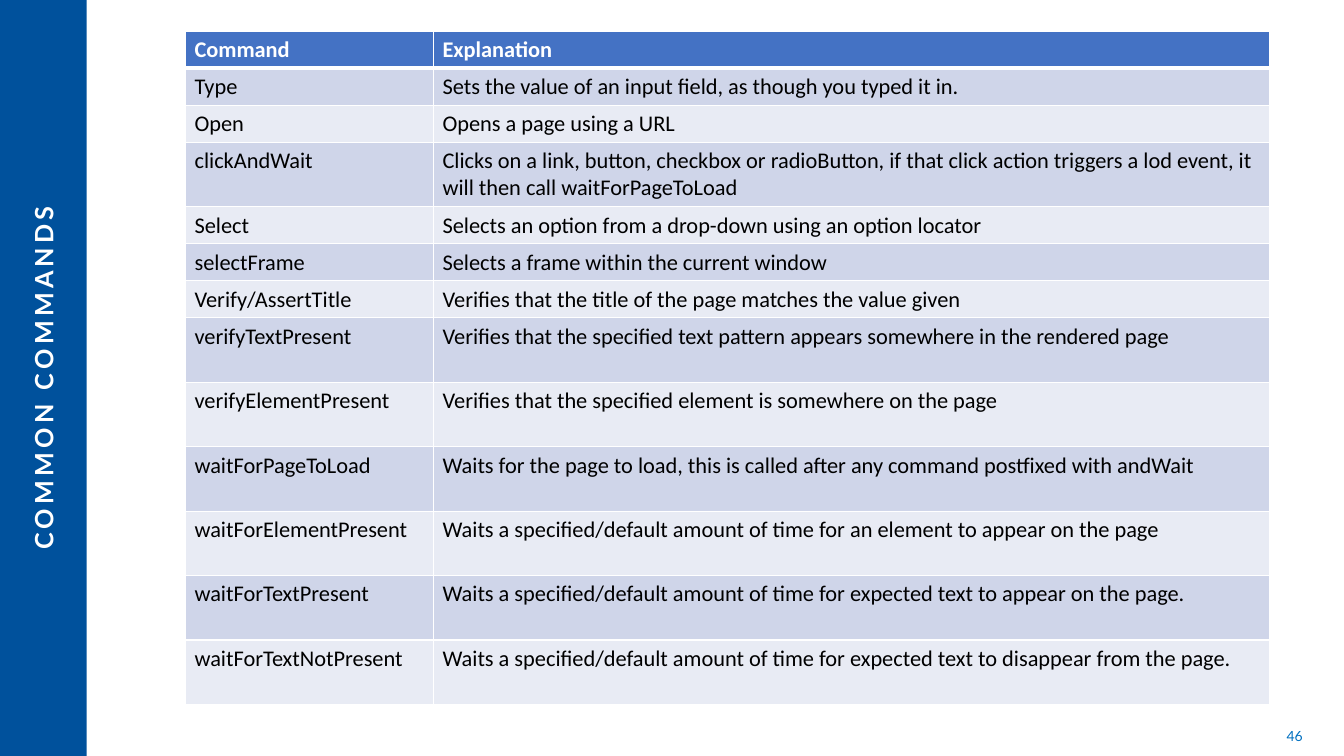
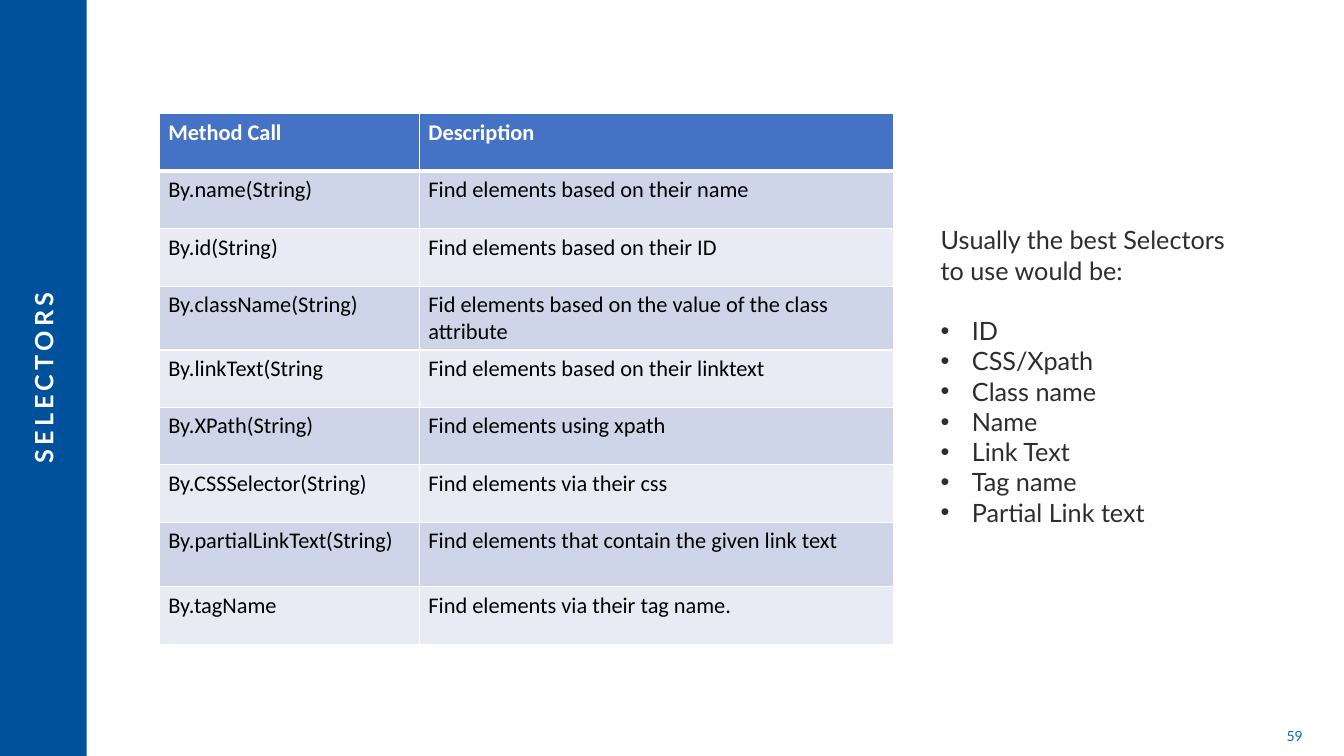
"""Build two reference slides with a side title band, a table and a selector list."""
from dataclasses import dataclass

from lxml import etree
from pptx import Presentation
from pptx.dml.color import RGBColor
from pptx.enum.shapes import MSO_SHAPE
from pptx.enum.text import MSO_ANCHOR, MSO_AUTO_SIZE, PP_ALIGN
from pptx.oxml.ns import qn
from pptx.slide import Slide
from pptx.table import _Cell
from pptx.text.text import _Paragraph
from pptx.util import Emu, Pt

RECTANGLE = MSO_SHAPE.RECTANGLE
MIDDLE = MSO_ANCHOR.MIDDLE
TOP = MSO_ANCHOR.TOP
NO_AUTOFIT = MSO_AUTO_SIZE.NONE
LEFT, CENTER, RIGHT = PP_ALIGN.LEFT, PP_ALIGN.CENTER, PP_ALIGN.RIGHT

EMU_PER_PX = 9144
SLIDE_WIDTH, SLIDE_HEIGHT = 1333, 750
TITLE_AND_BODY_LAYOUT, TITLE_LAYOUT = 1, 5
TEXT_FONT, TABLE_FONT = "Lato", "Calibri"
THIN, THICK = 1, 3
COLORS = {
    "band": "00519C",
    "number": "0070C0",
    "header": "4472C4",
    "odd": "CFD5E9",
    "even": "E8EBF4",
    "white": "FFFFFF",
    "black": "000000",
    "body": "2E2D2C",
}


@dataclass(frozen=True)
class Box:
    left: int
    top: int
    width: int
    height: int


@dataclass(frozen=True)
class TableRow:
    name: str
    description: str
    height: int


@dataclass(frozen=True)
class TableSpec:
    left: int
    top: int
    columns: tuple[int, int]
    rows: tuple[TableRow, ...]


BAND = Box(0, 0, 86, 752)
TITLE = Box(-341, 359, 768, 32)
PAGE_NUMBER = Box(991, 710, 311, 40)
SELECTOR_LIST = Box(923, 218, 320, 313)
LIST_INDENT = 31

SHORT, MEDIUM, TALL = 36, 57, 64
COMMANDS = TableSpec(184, 31, (246, 829), (
    TableRow("Command", "Explanation", SHORT),
    TableRow("Type", "Sets the value of an input field, as though you typed it in.", SHORT),
    TableRow("Open", "Opens a page using a URL", SHORT),
    TableRow("clickAndWait", "Clicks on a link, button, checkbox or radioButton, if that click action "
             "triggers a lod event, it will then call waitForPageToLoad", TALL),
    TableRow("Select", "Selects an option from a drop-down using an option locator", SHORT),
    TableRow("selectFrame", "Selects a frame within the current window", SHORT),
    TableRow("Verify/AssertTitle", "Verifies that the title of the page matches the value given", SHORT),
    TableRow("verifyTextPresent",
             "Verifies that the specified text pattern appears somewhere in the rendered page", TALL),
    TableRow("verifyElementPresent", "Verifies that the specified element is somewhere on the page", TALL),
    TableRow("waitForPageToLoad",
             "Waits for the page to load, this is called after any command postfixed with andWait", TALL),
    TableRow("waitForElementPresent",
             "Waits a specified/default amount of time for an element to appear on the page", TALL),
    TableRow("waitForTextPresent",
             "Waits a specified/default amount of time for expected text to appear on the page.", TALL),
    TableRow("waitForTextNotPresent",
             "Waits a specified/default amount of time for expected text to disappear from the page.", TALL),
))
SELECTORS = TableSpec(158, 113, (258, 470), (
    TableRow("Method Call", "Description", MEDIUM),
    TableRow("By.name(String)", "Find elements based on their name", MEDIUM),
    TableRow("By.id(String)", "Find elements based on their ID", MEDIUM),
    TableRow("By.className(String)", "Fid elements based on the value of the class attribute", MEDIUM),
    TableRow("By.linkText(String", "Find elements based on their linktext", MEDIUM),
    TableRow("By.XPath(String)", "Find elements using xpath", MEDIUM),
    TableRow("By.CSSSelector(String)", "Find elements via their css", MEDIUM),
    TableRow("By.partialLinkText(String)", "Find elements that contain the given link text", TALL),
    TableRow("By.tagName", "Find elements via their tag name.", MEDIUM),
))
SELECTOR_INTRO = "Usually the best Selectors to use would be:"
BEST_SELECTORS = ("ID", "CSS/Xpath", "Class name", "Name", "Link Text", "Tag name", "Partial Link text")


def px(length: int) -> Emu:
    """Turn a length in px into EMU."""
    return Emu(length * EMU_PER_PX)


def place(shape, box: Box) -> None:
    """Move and size a shape."""
    shape.left, shape.top = px(box.left), px(box.top)
    shape.width, shape.height = px(box.width), px(box.height)


def write(paragraph: _Paragraph, text: str, *, size: int, color: str, font: str = TEXT_FONT,
          bold: bool = False, align: PP_ALIGN = LEFT, spacing: int = 0) -> None:
    """Add one formatted run to a paragraph."""
    paragraph.alignment = align
    run = paragraph.add_run()
    run.text = text
    run.font.size, run.font.name, run.font.bold = Pt(size), font, bold
    run.font.color.rgb = RGBColor.from_string(COLORS[color])
    if spacing:
        run.font._element.set("spc", str(spacing * 100))


def set_bullet(paragraph: _Paragraph, indent: int) -> None:
    """Give a paragraph a hanging bullet, or none when the indent is zero."""
    properties = paragraph._p.get_or_add_pPr()
    properties.set("marL", str(px(indent)))
    properties.set("indent", str(-px(indent)))
    if indent:
        etree.SubElement(properties, qn("a:buFont"), typeface="Arial")
        etree.SubElement(properties, qn("a:buChar"), char="•")
    else:
        etree.SubElement(properties, qn("a:buNone"))


def set_borders(cell: _Cell, top: int, bottom: int) -> None:
    """Draw white borders around a cell."""
    properties = cell._tc.get_or_add_tcPr()
    widths = {"a:lnL": THIN, "a:lnR": THIN, "a:lnT": top, "a:lnB": bottom}
    for position, (tag, width) in enumerate(widths.items()):
        line = etree.Element(qn(tag), w=str(Pt(width)))
        fill = etree.SubElement(line, qn("a:solidFill"))
        etree.SubElement(fill, qn("a:srgbClr"), val=COLORS["white"])
        properties.insert(position, line)


def add_table(slide: Slide, spec: TableSpec) -> None:
    """Add a two-column table with a header and banded rows."""
    heights = [row.height for row in spec.rows]
    table = slide.shapes.add_table(len(heights), len(spec.columns), px(spec.left), px(spec.top),
                                   px(sum(spec.columns)), px(sum(heights))).table
    table.horz_banding = False
    for column, width in zip(table.columns, spec.columns):
        column.width = px(width)
    for index, row in enumerate(spec.rows):
        table.rows[index].height = px(row.height)
        is_header = index == 0
        fill = "header" if is_header else ("even", "odd")[index % 2]
        for cell, text in zip(table.rows[index].cells, (row.name, row.description)):
            cell.margin_left = cell.margin_right = px(9)
            cell.margin_top = cell.margin_bottom = px(5)
            cell.fill.solid()
            cell.fill.fore_color.rgb = RGBColor.from_string(COLORS[fill])
            set_borders(cell, THICK if index == 1 else THIN, THICK if is_header else THIN)
            write(cell.text_frame.paragraphs[0], text, size=16, font=TABLE_FONT,
                  color="white" if is_header else "black", bold=is_header)


def add_base_slide(presentation: Presentation, layout: int, title: str, number: int) -> Slide:
    """Add a slide with the side band, rotated title and page number."""
    slide = presentation.slides.add_slide(presentation.slide_layouts[layout])
    band = slide.shapes.add_shape(RECTANGLE, 0, 0, 0, 0)
    place(band, BAND)
    band.shadow.inherit = False
    band.fill.solid()
    band.fill.fore_color.rgb = RGBColor.from_string(COLORS["band"])
    band.line.fill.background()
    slide.shapes._spTree.insert(2, band._element)

    heading = slide.shapes.title
    place(heading, TITLE)
    heading.rotation = 270
    frame = heading.text_frame
    frame.auto_size, frame.vertical_anchor = NO_AUTOFIT, MIDDLE
    write(frame.paragraphs[0], title, size=18, color="white", bold=True, align=CENTER, spacing=3)

    page_number = slide.shapes.add_textbox(0, 0, 0, 0)
    place(page_number, PAGE_NUMBER)
    frame = page_number.text_frame
    frame.word_wrap, frame.vertical_anchor = True, MIDDLE
    write(frame.paragraphs[0], str(number), size=10, color="number", align=RIGHT)
    return slide


def fill_selector_list(slide: Slide) -> None:
    """Fill the body placeholder with the recommended selectors."""
    body = slide.placeholders[1]
    place(body, SELECTOR_LIST)
    frame = body.text_frame
    frame.auto_size, frame.vertical_anchor = NO_AUTOFIT, TOP
    for index, text in enumerate((SELECTOR_INTRO, *BEST_SELECTORS)):
        paragraph = frame.add_paragraph() if index else frame.paragraphs[0]
        paragraph.line_spacing = 1.0
        paragraph.space_before = Pt(0)
        paragraph.space_after = Pt(0 if index else 21.6)
        set_bullet(paragraph, LIST_INDENT if index else 0)
        write(paragraph, text, size=18, color="body")


def main() -> None:
    """Build and save the presentation."""
    presentation = Presentation()
    presentation.slide_width, presentation.slide_height = px(SLIDE_WIDTH), px(SLIDE_HEIGHT)
    commands = add_base_slide(presentation, TITLE_LAYOUT, "COMMON COMMANDS", 46)
    add_table(commands, COMMANDS)
    selectors = add_base_slide(presentation, TITLE_AND_BODY_LAYOUT, "SELECTORS", 59)
    add_table(selectors, SELECTORS)
    fill_selector_list(selectors)
    presentation.save("out.pptx")


if __name__ == "__main__":
    main()
